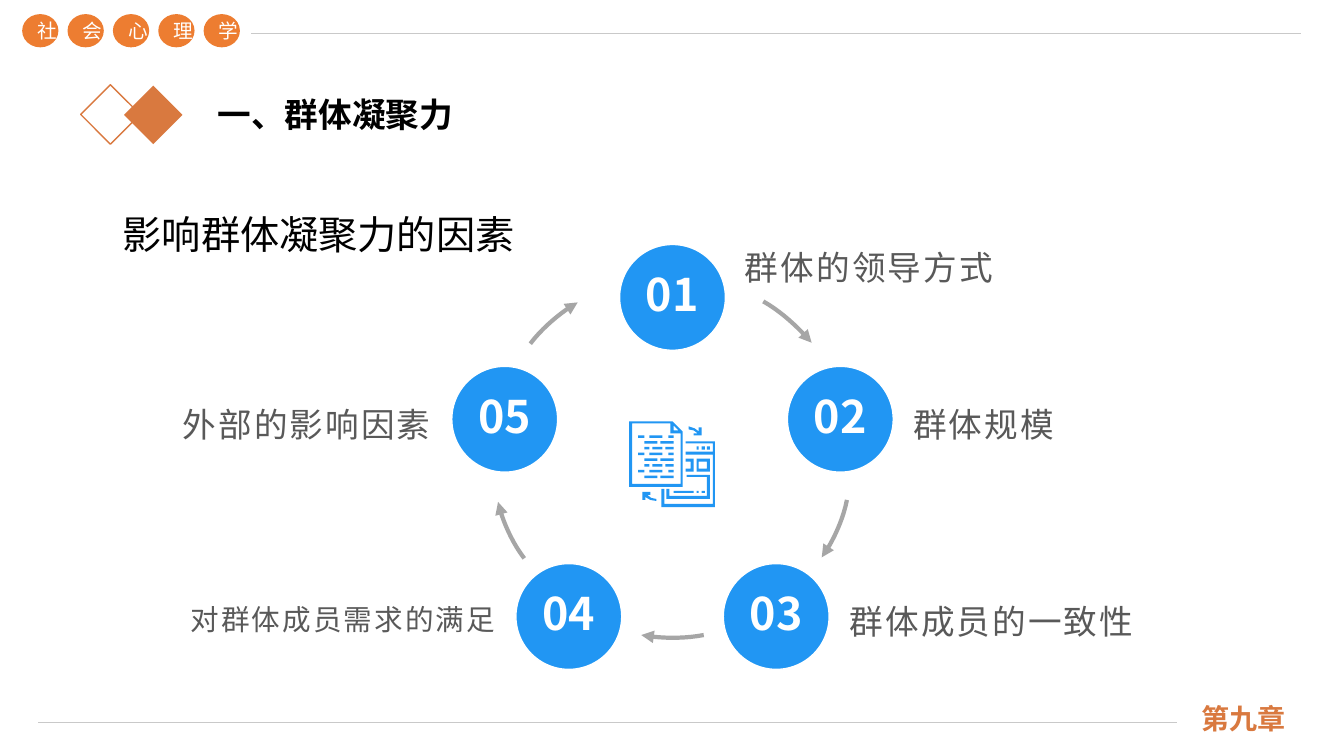
from math import cos, pi, sin

from lxml import etree
from pptx import Presentation
from pptx.dml.color import RGBColor
from pptx.enum.shapes import MSO_CONNECTOR, MSO_SHAPE
from pptx.enum.text import MSO_ANCHOR as ANCHOR, MSO_AUTO_SIZE, PP_ALIGN as ALIGN
from pptx.oxml.ns import qn
from pptx.util import Inches, Pt

FONT, FOOTER_FONT = "Noto Sans CJK SC", "Noto Sans CJK JP"
COLORS = {"black": "000000", "white": "FFFFFF", "grey": "595959", "arrow": "A6A6A6",
          "rule": "C9C9C9", "badge": "ED7D31", "accent": "D9793F", "blue": "2196F3"}

COURSE = "社会心理学"
TITLE = "一、群体凝聚力"
HEADING = "影响群体凝聚力的因素"
CHAPTER = "第九章"
# label, (left, top, width), alignment, size, line spacing
FACTORS = [
    ("群体的领导方式", (7.29, 2.2, 3.22), ALIGN.LEFT, 24, 1.2),
    ("群体规模", (8.96, 3.76, 3.18), ALIGN.LEFT, 24, 1.2),
    ("群体成员的一致性", (8.33, 5.72, 3.18), ALIGN.LEFT, 24, 1.2),
    ("对群体成员需求的满足", (1.75, 5.72, 3.26), ALIGN.RIGHT, 20.4, 1.1),
    ("外部的影响因素", (1.11, 3.76, 3.26), ALIGN.RIGHT, 24, 1.2),
]
RING_X, RING_Y, RING_R, NODE_D = 6.67, 4.7, 1.75, 1.05
# Cubic Bezier points of the arrows between the nodes
ARROWS = [
    [(7.57, 2.99), (7.8, 3.12), (7.98, 3.32), (8.05, 3.4)],
    [(8.4, 4.96), (8.35, 5.22), (8.21, 5.45), (8.15, 5.53)],
    [(6.98, 6.3), (6.72, 6.35), (6.46, 6.32), (6.36, 6.3)],
    [(5.2, 5.54), (5.04, 5.33), (4.96, 5.08), (4.94, 4.98)],
    [(5.26, 3.41), (5.42, 3.2), (5.64, 3.05), (5.73, 3)],
]
RULES = [(0.38, 7.17, 11.67), (2.49, 0.33, 12.9)]

# Icon: text dashes repeat every three rows
DASH_ROWS = [
    [(6.33, 6.39), (6.44, 6.57), (6.63, 6.68)],
    [(6.39, 6.52), (6.55, 6.68)],
    [(6.39, 6.44), (6.47, 6.57), (6.6, 6.68)],
]
DASH_TOP, DASH_PITCH, DASH_H, DASH_COUNT = 4.32, 0.057, 0.025, 8
ICON_BOXES = [
    (6.96, 4.87, 6.99, 4.89), (6.91, 4.87, 6.93, 4.89), (6.68, 4.87, 6.88, 4.89),
    (7.01, 4.43, 7.04, 4.46), (6.96, 4.43, 6.99, 4.46), (6.91, 4.43, 6.93, 4.46),
    (6.91, 4.55, 7.04, 4.68), (6.93, 4.58, 7.01, 4.65),
]
ICON_OUTLINES = [
    [(6.24, 4.18), (6.67, 4.18), (6.77, 4.28), (6.77, 4.83), (6.24, 4.83)],
    [(6.27, 4.2), (6.27, 4.8), (6.75, 4.8), (6.75, 4.3), (6.65, 4.3), (6.65, 4.2)],
    [(6.68, 4.22), (6.68, 4.27), (6.73, 4.27)],
    [(6.8, 4.38), (7.09, 4.38), (7.09, 5.03), (6.56, 5.03), (6.56, 4.85), (6.59, 4.85),
     (6.59, 5), (7.07, 5), (7.07, 4.51), (6.8, 4.51), (6.8, 4.48), (7.07, 4.48),
     (7.07, 4.4), (6.8, 4.4)],
    [(6.81, 4.71), (7.04, 4.71), (7.04, 4.95), (6.61, 4.95), (6.61, 4.85), (6.64, 4.85),
     (6.64, 4.92), (7.01, 4.92), (7.01, 4.73), (6.81, 4.73)],
    [(6.8, 4.55), (6.88, 4.55), (6.88, 4.68), (6.8, 4.68), (6.8, 4.65), (6.85, 4.65),
     (6.85, 4.58), (6.8, 4.58)],
    [(6.37, 4.88), (6.45, 4.88), (6.45, 4.91), (6.42, 4.91), (6.46, 4.94), (6.51, 4.95),
     (6.51, 4.97), (6.45, 4.96), (6.4, 4.93), (6.4, 4.96), (6.37, 4.96)],
    [(6.83, 4.23), (6.89, 4.25), (6.93, 4.28), (6.93, 4.24), (6.96, 4.24), (6.96, 4.32),
     (6.88, 4.32), (6.88, 4.3), (6.92, 4.3), (6.88, 4.27), (6.83, 4.26)],
]


def rgb(name):
    return RGBColor.from_string(COLORS[name])


def style(s, fill=None, line=None, width=1):
    s.shadow.inherit = False
    if fill:
        s.fill.solid()
        s.fill.fore_color.rgb = rgb(fill)
    else:
        s.fill.background()
    if line:
        s.line.color.rgb = rgb(line)
        s.line.width = Pt(width)
    else:
        s.line.fill.background()


def write(s, text, size, color, align=ALIGN.LEFT, anchor=ANCHOR.TOP, bold=False,
          font=FONT, spacing=None, tracking=None, wrap=True):
    tf = s.text_frame
    tf.word_wrap = wrap
    tf.auto_size = MSO_AUTO_SIZE.NONE
    tf.vertical_anchor = anchor
    p = tf.paragraphs[0]
    p.text = text
    p.alignment = align
    if spacing:
        p.line_spacing = spacing
    p.font.name, p.font.size, p.font.bold = font, Pt(size), bold
    p.font.color.rgb = rgb(color)
    props = p._p.pPr.find(qn("a:defRPr"))
    etree.SubElement(props, qn("a:ea")).set("typeface", font)
    if tracking:
        props.set("spc", str(int(tracking * 100)))


def add_box(shapes, x, y, w, h, *args, **kwargs):
    write(shapes.add_textbox(Inches(x), Inches(y), Inches(w), Inches(h)), *args, **kwargs)


def add_preset(shapes, kind, x, y, w, h, **kwargs):
    s = shapes.add_shape(kind, Inches(x), Inches(y), Inches(w), Inches(h))
    style(s, **kwargs)
    return s


def add_outline(shapes, outlines, close):
    """Draw all point lists as one freeform; nested outlines become holes."""
    emu = [[(Inches(x), Inches(y)) for x, y in points] for points in outlines]
    builder = shapes.build_freeform(*emu[0][0])
    for i, points in enumerate(emu):
        if i:
            builder.move_to(*points[0])
        builder.add_line_segments(points[1:], close=close)
    return builder.convert_to_shape()


def bezier(points, steps=12):
    def at(t):
        weights = ((1 - t) ** 3, 3 * t * (1 - t) ** 2, 3 * t * t * (1 - t), t ** 3)
        return tuple(sum(w * pt[axis] for w, pt in zip(weights, points)) for axis in (0, 1))
    return [at(i / steps) for i in range(steps + 1)]


def box_points(x1, y1, x2, y2):
    return [(x1, y1), (x2, y1), (x2, y2), (x1, y2)]


def add_header_footer(shapes):
    for x1, y, x2 in RULES:
        rule = shapes.add_connector(MSO_CONNECTOR.STRAIGHT, Inches(x1), Inches(y),
                                    Inches(x2), Inches(y))
        rule.line.color.rgb = rgb("rule")
        rule.line.width = Pt(1)
        etree.SubElement(rule._element.spPr, qn("a:effectLst"))
    for i, char in enumerate(COURSE):
        s = add_preset(shapes, MSO_SHAPE.OVAL, 0.22 + 0.45 * i, 0.14, 0.36, 0.33, fill="badge")
        write(s, char, 14, "white", ALIGN.CENTER, ANCHOR.MIDDLE)
    add_box(shapes, 11.82, 6.94, 1.4, 0.4, CHAPTER, 20, "accent", anchor=ANCHOR.BOTTOM,
            bold=True, font=FOOTER_FONT)


def add_icon(shapes):
    outlines = ICON_OUTLINES + [box_points(*b) for b in ICON_BOXES]
    for row in range(DASH_COUNT):
        y = DASH_TOP + row * DASH_PITCH
        outlines += [box_points(x1, y, x2, y + DASH_H)
                     for x1, x2 in DASH_ROWS[row % len(DASH_ROWS)]]
    style(add_outline(shapes, outlines, True), fill="blue")


def add_cycle(shapes):
    for i, (label, (x, y, w), align, size, spacing) in enumerate(FACTORS):
        angle = 2 * pi * i / len(FACTORS)
        node = add_preset(shapes, MSO_SHAPE.OVAL,
                          RING_X + RING_R * sin(angle) - NODE_D / 2,
                          RING_Y - RING_R * cos(angle) - NODE_D / 2,
                          NODE_D, NODE_D, fill="blue", line="white")
        write(node, f"{i + 1:02}", 32, "white", ALIGN.CENTER, ANCHOR.MIDDLE, bold=True,
              spacing=0.9, wrap=False)
        add_box(shapes, x, y, w, 0.81, label, size, "grey", align, ANCHOR.MIDDLE,
                spacing=spacing, tracking=1.5)
    for points in ARROWS:
        arrow = add_outline(shapes, [bezier(points)], False)
        style(arrow, line="arrow", width=3)
        etree.SubElement(arrow.line._get_or_add_ln(), qn("a:tailEnd")).set("type", "triangle")


def main():
    prs = Presentation()
    prs.slide_width, prs.slide_height = Inches(13.33), Inches(7.5)
    shapes = prs.slides.add_slide(prs.slide_layouts[5]).shapes
    title = shapes.title
    title.left, title.top, title.width, title.height = map(Inches, (2.06, 0.88, 2.56, 0.5))
    write(title, TITLE, 24, "black", bold=True, wrap=False)
    add_box(shapes, 1.12, 1.8, 9.74, 1.34, HEADING, 28, "black", ALIGN.JUSTIFY, spacing=1.5)
    add_preset(shapes, MSO_SHAPE.DIAMOND, 1.23, 0.85, 0.58, 0.58, fill="accent")
    add_preset(shapes, MSO_SHAPE.DIAMOND, 0.8, 0.84, 0.59, 0.59, line="accent")
    add_header_footer(shapes)
    add_icon(shapes)
    add_cycle(shapes)
    prs.save("out.pptx")


if __name__ == "__main__":
    main()
